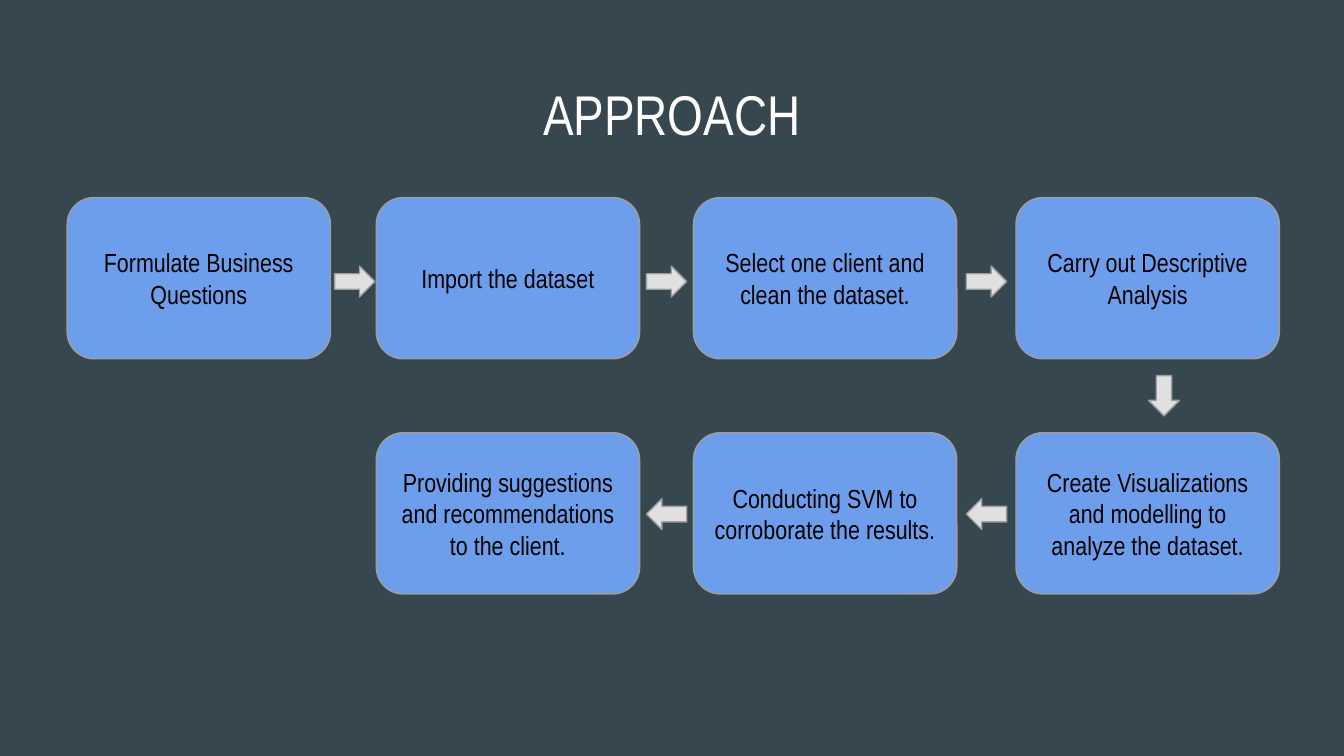
from dataclasses import dataclass

from pptx import Presentation
from pptx.dml.color import RGBColor
from pptx.enum.shapes import MSO_SHAPE
from pptx.enum.text import MSO_ANCHOR, MSO_AUTO_SIZE, PP_ALIGN
from pptx.util import Inches, Pt

SLIDE_W = Inches(10)
SLIDE_H = SLIDE_W * 9 // 16
COLUMNS = (0.5, 2.8, 5.16, 7.56)
ROWS = (1.47, 3.22)
BOX_W, BOX_H = 1.96, 1.2
ARROW_W, ARROW_H = 0.3, 0.23
GAPS = (2.49, 4.81, 7.19)
ARROW_ROWS = (1.98, 3.71)
FRAME = {
    "word_wrap": True,
    "auto_size": MSO_AUTO_SIZE.NONE,
    "margin_left": Inches(0.1),
    "margin_right": Inches(0.1),
    "margin_top": Inches(0.1),
    "margin_bottom": Inches(0.1),
}


@dataclass(frozen=True)
class Step:
    col: int
    row: int
    text: str


@dataclass(frozen=True)
class Arrow:
    left: float
    top: float
    rotation: int = 0


STEPS = (
    Step(0, 0, "Formulate Business Questions"),
    Step(2, 1, "Conducting SVM to corroborate the results."),
    Step(3, 1, "Create Visualizations and modelling to analyze the dataset."),
    Step(3, 0, "Carry out Descriptive Analysis"),
    Step(2, 0, "Select one client and clean the dataset."),
    Step(1, 0, "Import the dataset"),
    Step(1, 1, "Providing suggestions and recommendations to the client."),
)
ARROWS = (
    *(Arrow(left, ARROW_ROWS[0]) for left in GAPS),
    Arrow(8.51, 2.83, 90),
    *(Arrow(left, ARROW_ROWS[1], 180) for left in reversed(GAPS[1:])),
)


def color(value: str) -> RGBColor:
    return RGBColor.from_string(value)


def set_attrs(target, values: dict) -> None:
    for name, value in values.items():
        setattr(target, name, value)


def write(sp, text: str, size: int, ink: str, anchor) -> None:
    tf = sp.text_frame
    set_attrs(tf, FRAME | {"vertical_anchor": anchor})
    p = tf.paragraphs[0]
    p.alignment = PP_ALIGN.CENTER
    r = p.add_run()
    r.text = text
    set_attrs(r.font, {"size": Pt(size), "name": "Arial Narrow"})
    r.font.color.rgb = color(ink)


def add_block(s, kind, x: float, y: float, w: float, h: float, fill: str):
    sp = s.shapes.add_shape(kind, *map(Inches, (x, y, w, h)))
    sp.shadow.inherit = False
    sp.fill.solid()
    sp.fill.fore_color.rgb = color(fill)
    sp.line.color.rgb = color("9E9E9E")
    sp.line.width = Pt(0.75)
    return sp


def add_step(s, step: Step) -> None:
    sp = add_block(s, MSO_SHAPE.ROUNDED_RECTANGLE, COLUMNS[step.col],
                   ROWS[step.row], BOX_W, BOX_H, "6D9EEB")
    write(sp, step.text, 14, "000000", MSO_ANCHOR.MIDDLE)


def add_arrow(s, arrow: Arrow) -> None:
    sp = add_block(s, MSO_SHAPE.RIGHT_ARROW, arrow.left, arrow.top,
                   ARROW_W, ARROW_H, "E0E0E0")
    sp.rotation = arrow.rotation


def main() -> None:
    prs = Presentation()
    set_attrs(prs, {"slide_width": SLIDE_W, "slide_height": SLIDE_H})
    s = prs.slides.add_slide(prs.slide_layouts[5])
    s.background.fill.solid()
    s.background.fill.fore_color.rgb = color("37474F")

    title = s.shapes.title
    set_attrs(title, {"left": Inches(0.34), "top": Inches(0.49),
                      "width": Inches(9.32), "height": Inches(0.63)})
    write(title, "APPROACH", 30, "FFFFFF", MSO_ANCHOR.TOP)

    for step in STEPS:
        add_step(s, step)
    for arrow in ARROWS:
        add_arrow(s, arrow)
    prs.save("out.pptx")


if __name__ == "__main__":
    main()
